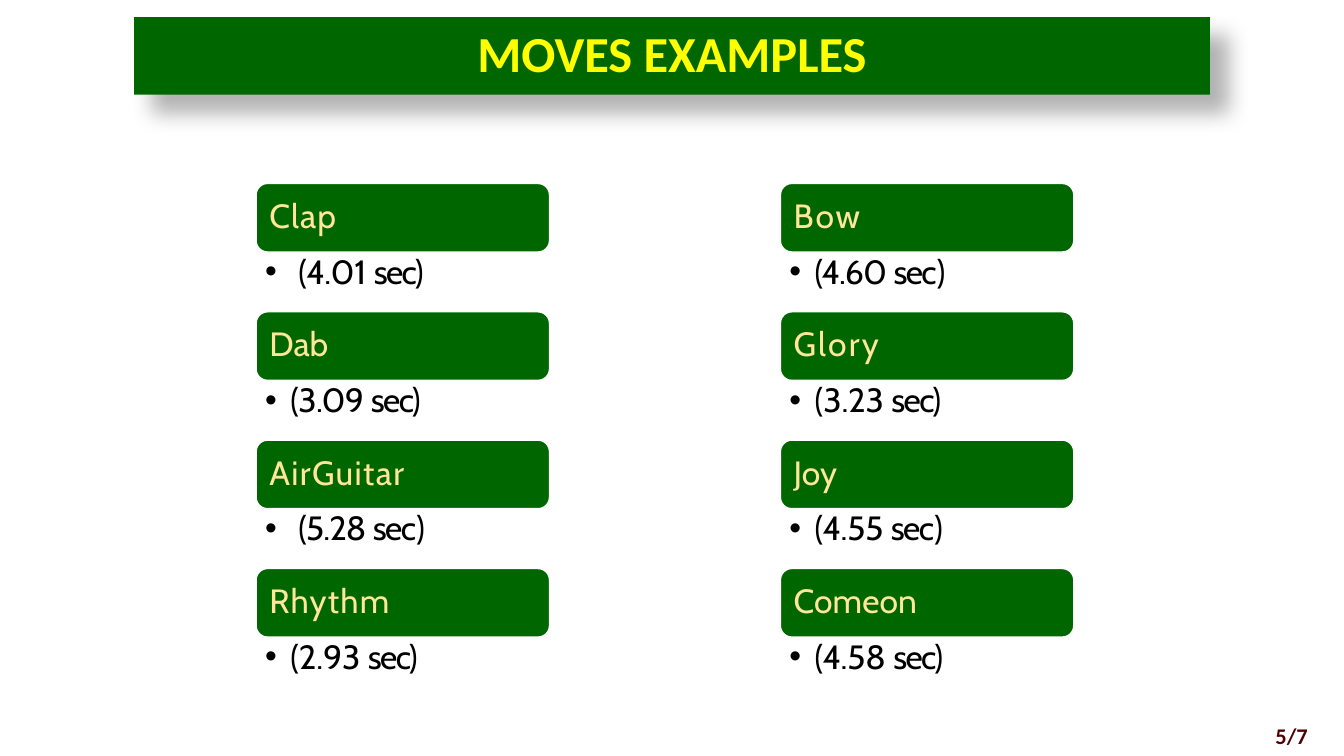
import pptx
import pptx.dml.color
import pptx.enum.shapes
import pptx.enum.text
import pptx.oxml
import pptx.util
from pptx.enum.text import MSO_ANCHOR, PP_ALIGN
from pptx.util import Inches

COLORS = {
    "green": "006600",
    "yellow": "FFFF00",
    "cream": "FFE699",
    "white": "FFFFFF",
    "black": "000000",
    "maroon": "500000",
}
NS = 'xmlns:a="http://schemas.openxmlformats.org/drawingml/2006/main"'

# Each move: name, its letter spacing, seconds, their spacing,
# closing bracket spacing, text indent
LEFT_MOVES = [
    ("Clap", 0.8, "4.01", -0.1, -1.2, 0.33),
    ("Dab", 0, "3.09", -0.5, -1.2, 0.25),
    ("AirGuitar", 1, "5.28", -0.7, -2.4, 0.33),
    ("Rhythm", 0.9, "2.93", -0.1, -1.2, 0.25),
]
RIGHT_MOVES = [
    ("Bow", 1.3, "4.60", -0.7, -2.4, 0.25),
    ("Glory", 1.6, "3.23", -0.1, -1.2, 0.25),
    ("Joy", 0.1, "4.55", -0.1, -1.4, 0.25),
    ("Comeon", 0.1, "4.58", -0.1, -1.2, 0.25),
]
MOVE_TOP, MOVE_WIDTH = 1.82, 2.91
LABEL_HEIGHT, TIME_HEIGHT = 0.68, 0.6
MOVE_PITCH = 3.82 / 3


def rgb(name):
    return pptx.dml.color.RGBColor.from_string(COLORS[name])


def add_span(para, text, size, color, font="Cabin", bold=False, spacing=0):
    span = para.add_run()
    span.text = text
    span.font.size = pptx.util.Pt(size)
    span.font.name = font
    span.font.bold = bold
    span.font.color.rgb = rgb(color)
    if spacing:
        span._r.get_or_add_rPr().set("spc", str(round(spacing * 100)))


def set_frame(frame, anchor, insets=(0.1, 0.05, 0.1, 0.05)):
    frame.word_wrap = True
    frame.auto_size = pptx.enum.text.MSO_AUTO_SIZE.NONE
    frame.vertical_anchor = anchor
    (frame.margin_left, frame.margin_top,
     frame.margin_right, frame.margin_bottom) = map(Inches, insets)
    return frame.paragraphs[0]


def add_title(page, text):
    title = page.shapes.title
    title.left, title.top = Inches(1.33), Inches(0.17)
    title.width, title.height = Inches(10.67), Inches(0.77)
    title.fill.solid()
    title.fill.fore_color.rgb = rgb("green")
    # Soft shadow to the lower right
    title.shadow.inherit = False
    effects = title._element.spPr.find(pptx.oxml.ns.qn("a:effectLst"))
    effects.append(pptx.oxml.parse_xml(
        f'<a:outerShdw {NS} blurRad="190500" dist="228600" dir="2700000" '
        f'algn="tl" rotWithShape="0"><a:srgbClr val="{COLORS["black"]}">'
        '<a:alpha val="30000"/></a:srgbClr></a:outerShdw>'))
    para = set_frame(title.text_frame, MSO_ANCHOR.MIDDLE)
    para.alignment = PP_ALIGN.CENTER
    para.line_spacing = 0.9
    add_span(para, text, 36, "yellow", "Calibri", bold=True)


def add_label(group, left, top, name, spacing):
    label = group.shapes.add_shape(
        pptx.enum.shapes.MSO_SHAPE.ROUNDED_RECTANGLE, Inches(left),
        Inches(top), Inches(MOVE_WIDTH), Inches(LABEL_HEIGHT))
    label.shadow.inherit = False
    label.fill.solid()
    label.fill.fore_color.rgb = rgb("green")
    label.line.color.rgb = rgb("white")
    label.line.width = pptx.util.Pt(1)
    para = set_frame(label.text_frame, MSO_ANCHOR.MIDDLE, (0.1, 0.1, 0.1, 0.1))
    para.alignment = PP_ALIGN.LEFT
    para.line_spacing = 0.9
    add_span(para, name, 24, "cream", spacing=spacing)


def add_time(group, left, top, seconds, spacing, close_spacing, indent):
    box = group.shapes.add_textbox(
        Inches(left), Inches(top), Inches(MOVE_WIDTH), Inches(TIME_HEIGHT))
    para = set_frame(box.text_frame, MSO_ANCHOR.TOP, (0.09, 0.03, 0.19, 0.03))
    para.line_spacing = 0.9
    props = para._p.get_or_add_pPr()
    props.set("marL", str(Inches(indent)))
    props.set("indent", str(-Inches(indent)))
    props.append(pptx.oxml.parse_xml(f'<a:buFont {NS} typeface="Arial"/>'))
    props.append(pptx.oxml.parse_xml(f'<a:buChar {NS} char="•"/>'))
    for text, gap in ((f"({seconds} ", spacing), ("sec", -1.2),
                      (")", close_spacing)):
        add_span(para, text, 24, "black", spacing=gap)


def add_column(page, left, moves):
    group = page.shapes.add_group_shape()
    for row, (name, name_spacing, *time) in enumerate(moves):
        top = MOVE_TOP + row * MOVE_PITCH
        add_label(group, left, top, name, name_spacing)
        add_time(group, left, top + LABEL_HEIGHT, *time)


def add_page_number(page, text):
    box = page.shapes.add_textbox(
        Inches(12.3), Inches(7.1), Inches(1.02), Inches(0.4))
    para = set_frame(box.text_frame, MSO_ANCHOR.MIDDLE)
    para.alignment = PP_ALIGN.CENTER
    add_span(para, text, 16, "maroon", "Calibri", bold=True)


def main():
    deck = pptx.Presentation()
    deck.slide_width, deck.slide_height = Inches(13.33), Inches(7.5)
    page = deck.slides.add_slide(deck.slide_layouts[5])

    add_title(page, "MOVES EXAMPLES")
    # Two columns of moves with their durations
    add_column(page, 2.54, LEFT_MOVES)
    add_page_number(page, "5/7")
    add_column(page, 7.74, RIGHT_MOVES)

    deck.save("out.pptx")


if __name__ == "__main__":
    main()
